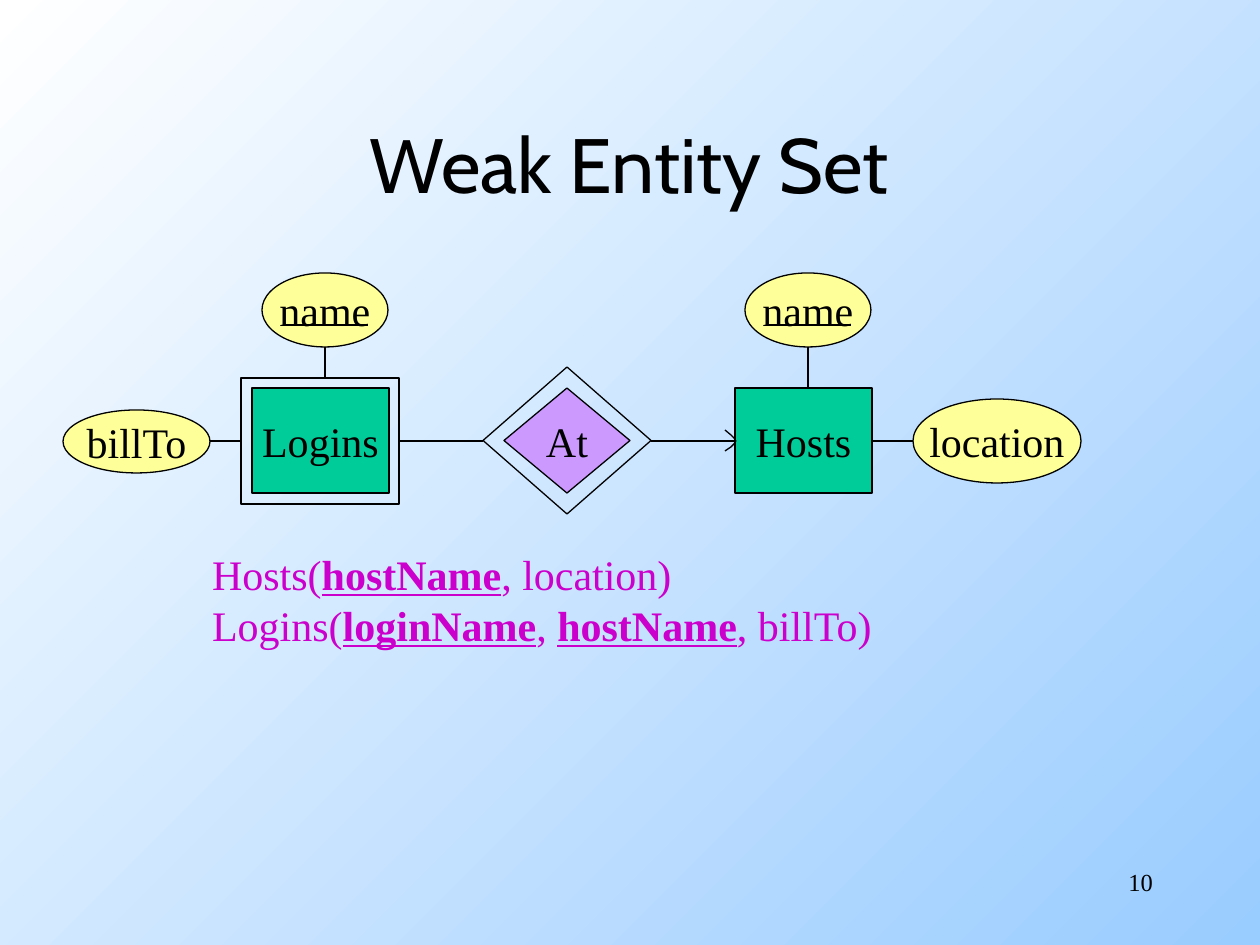
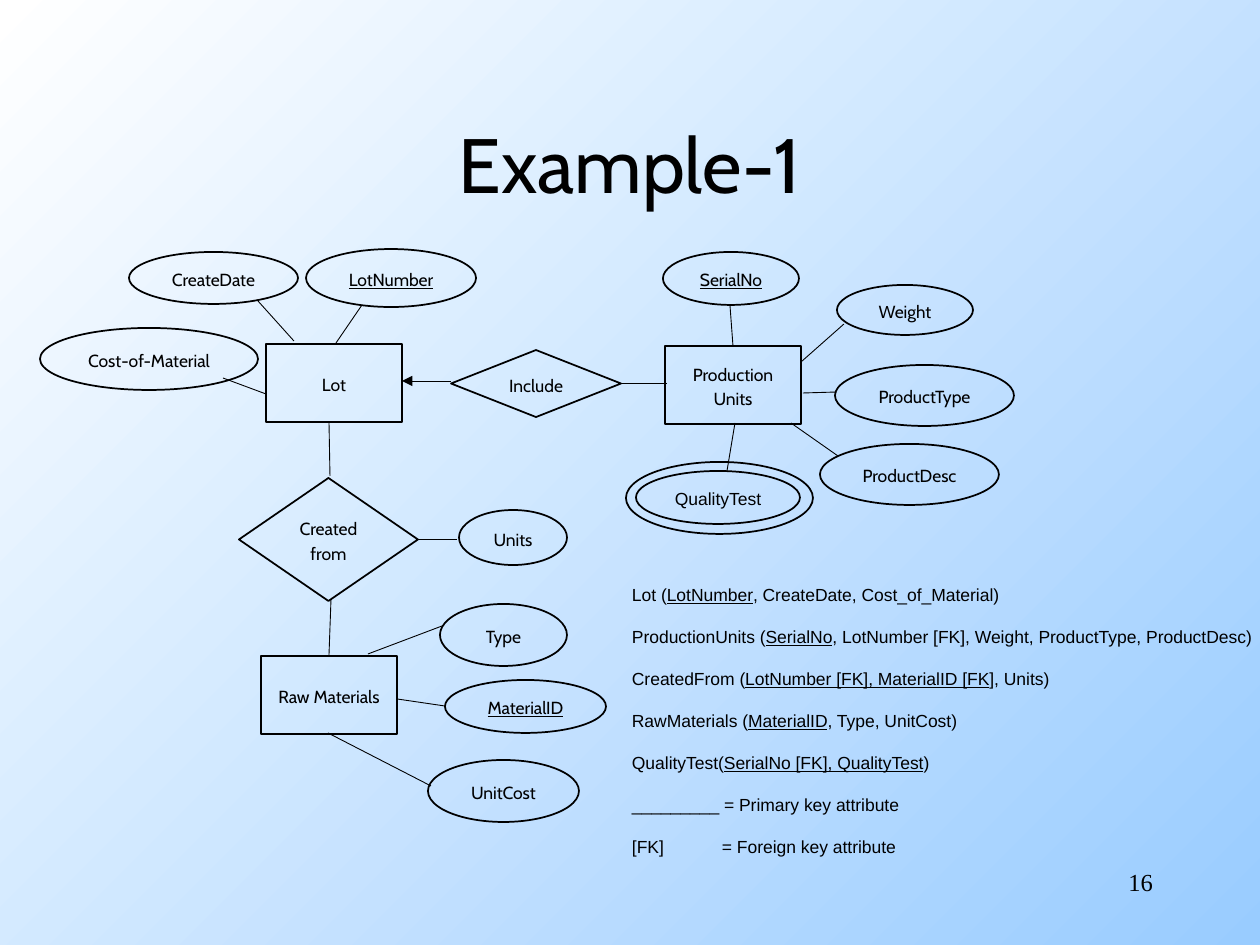
from lxml import etree
from pptx import Presentation
from pptx import util as u
from pptx.dml.color import RGBColor
from pptx.enum import shapes, text
from pptx.oxml import ns

# Shared look
PX = u.Inches(1) / 126
BLACK = RGBColor(0x00, 0x00, 0x00)
WHITE = RGBColor(0xFF, 0xFF, 0xFF)
SKY = RGBColor(0x99, 0xCC, 0xFF)
GREEN = RGBColor(0x00, 0xCC, 0x99)
PURPLE = RGBColor(0xCC, 0x99, 0xFF)
YELLOW = RGBColor(0xFF, 0xFF, 0x99)
MAGENTA = RGBColor(0xCC, 0x00, 0xCC)
SERIF, SANS, ROUND = "Times New Roman", "Arial", "Cabin"
RECTANGLE = shapes.MSO_SHAPE.RECTANGLE
DIAMOND = shapes.MSO_SHAPE.DIAMOND
DECISION = shapes.MSO_SHAPE.FLOWCHART_DECISION
OVAL = shapes.MSO_SHAPE.OVAL
LEFT, CENTER, RIGHT = text.PP_ALIGN.LEFT, text.PP_ALIGN.CENTER, text.PP_ALIGN.RIGHT

# Text between bars is a key attribute. Boxes are left, top, width, height.
WEAK_TITLE = ("Weak Entity Set", (94, 84, 1071, 158), 10)
WEAK_SHAPES = [
    (RECTANGLE, GREEN, "Logins", (252, 388, 137, 105)),
    (RECTANGLE, GREEN, "Hosts", (735, 388, 137, 105)),
    (DIAMOND, PURPLE, "At", (504, 388, 126, 105)),
    (OVAL, YELLOW, "name", (262, 273, 126, 74)),
    (OVAL, YELLOW, "name", (745, 273, 126, 74)),
    (OVAL, YELLOW, "billTo", (63, 410, 147, 63)),
    (OVAL, YELLOW, "location", (913, 399, 168, 84)),
    (RECTANGLE, None, "", (241, 378, 158, 126)),
    (DIAMOND, None, "", (483, 367, 168, 147)),
]
WEAK_LINES = [
    (283, 325, 368, 325), (766, 325, 851, 325),  # key underlines
    (325, 347, 325, 378), (808, 347, 808, 388),
    (483, 441, 399, 441), (651, 441, 735, 441),
    (210, 441, 241, 441), (913, 441, 872, 441),
]
ROUND_ARROWHEAD = [(725, 430), (731, 435), (734, 438), (736, 441),
                   (734, 444), (731, 447), (725, 451)]
WEAK_RELATIONS = [
    "Hosts(|hostName|, location)",
    "Logins(|loginName|, |hostName|, billTo)",
]

EXAMPLE_TITLE = ("Example-1", (0, 84, 1260, 158), 16)
ENTITY_SIZE = (136, 78)
EXAMPLE_SHAPES = [
    (RECTANGLE, "Lot", (266, 344, *ENTITY_SIZE)),
    (RECTANGLE, "Production Units", (665, 346, *ENTITY_SIZE)),
    (RECTANGLE, "Raw Materials", (261, 656, *ENTITY_SIZE)),
    (DECISION, "Include", (451, 350, 170, 67)),
    (DECISION, "Created from", (239, 478, 179, 123)),
    (OVAL, "Cost-of-Material", (40, 328, 218, 62)),
    (OVAL, "CreateDate", (129, 252, 169, 52)),
    (OVAL, "|LotNumber|", (306, 249, 170, 58)),
    (OVAL, "|SerialNo|", (663, 252, 136, 53)),
    (OVAL, "Weight", (837, 285, 136, 50)),
    (OVAL, "ProductType", (835, 365, 179, 61)),
    (OVAL, "ProductDesc", (820, 444, 179, 61)),
    (OVAL, "QualityTest", (636, 471, 164, 53)),
    (OVAL, "", (626, 462, 187, 72)),
    (OVAL, "Units", (459, 510, 108, 55)),
    (OVAL, "Type", (440, 604, 127, 62)),
    (OVAL, "|MaterialID|", (445, 680, 161, 53)),
    (OVAL, "UnitCost", (428, 760, 151, 62)),
]
EXAMPLE_LINES = [
    (336, 343, 362, 305), (294, 341, 258, 301), (266, 394, 223, 378),
    (620, 383, 667, 383), (733, 346, 730, 305), (801, 362, 844, 324),
    (803, 393, 837, 392), (791, 423, 838, 456), (727, 471, 735, 423),
    (330, 476, 329, 422), (331, 600, 329, 655), (418, 539, 457, 539),
    (368, 654, 442, 626), (397, 699, 445, 706), (431, 786, 328, 733),
]
INCLUDE_ARROW = (402, 381, 451, 381)
EXAMPLE_RELATIONS = [
    "Lot (|LotNumber|, CreateDate, Cost_of_Material)",
    "ProductionUnits (|SerialNo|, LotNumber [FK], Weight, ProductType, ProductDesc)",
    "CreatedFrom (|LotNumber [FK], MaterialID [FK|], Units)",
    "RawMaterials (|MaterialID|, Type, UnitCost)",
    "QualityTest(|SerialNo [FK], QualityTest|)",
    "_________ = Primary key attribute",
    "[FK]\t= Foreign key attribute",
]
LEGEND_TAB = 90


def px(*lengths):
    return [u.Emu(round(length * PX)) for length in lengths]


def write(frame, lines, *, size, font, color=BLACK, align=LEFT, spacing=None,
          after=0, bold_keys=False, wrap=True):
    frame.word_wrap = wrap
    for index, line in enumerate(lines):
        paragraph = frame.add_paragraph() if index else frame.paragraphs[0]
        paragraph.alignment = align
        paragraph.space_after = u.Pt(after)
        if spacing:
            paragraph.line_spacing = spacing
        for part, words in enumerate(line.split("|")):
            if not words:
                continue
            run = paragraph.add_run()
            run.text = words
            run.font.size, run.font.name = u.Pt(size), font
            run.font.color.rgb = color
            if part % 2:
                run.font.underline = True
                run.font.bold = bold_keys
        if "\t" in line:
            stops = etree.SubElement(paragraph._p.get_or_add_pPr(), ns.qn("a:tabLst"))
            etree.SubElement(stops, ns.qn("a:tab"), pos=str(px(LEGEND_TAB)[0]), algn="l")


def add_text(slide, box, lines, **style):
    frame = slide.shapes.add_textbox(*px(*box)).text_frame
    frame.margin_left = frame.margin_top = frame.margin_right = frame.margin_bottom = 0
    write(frame, lines, **style)


def outline(shape, fill, width):
    shape.shadow.inherit = False
    if fill is None:
        shape.fill.background()
    else:
        shape.fill.solid()
        shape.fill.fore_color.rgb = fill
    shape.line.color.rgb = BLACK
    shape.line.width = u.Pt(width)


def add_node(slide, kind, label, box, fill=None, width=1, **style):
    shape = slide.shapes.add_shape(kind, *px(*box))
    outline(shape, fill, width)
    if label:
        shape.text_frame.vertical_anchor = text.MSO_ANCHOR.MIDDLE
        write(shape.text_frame, [label], align=CENTER, **style)


def add_line(slide, ends, width, arrow=False):
    connector = slide.shapes.add_connector(shapes.MSO_CONNECTOR.STRAIGHT, *px(*ends))
    connector.line.color.rgb = BLACK
    connector.line.width = u.Pt(width)
    if arrow:
        etree.SubElement(connector.line._get_or_add_ln(), ns.qn("a:headEnd"), type="triangle")
    etree.SubElement(connector._element.spPr, ns.qn("a:effectLst"))


def add_slide(presentation, title, box, number):
    slide = presentation.slides.add_slide(presentation.slide_layouts[5])
    heading = slide.shapes.title
    heading.left, heading.top, heading.width, heading.height = px(*box)
    heading.text_frame.vertical_anchor = text.MSO_ANCHOR.MIDDLE
    write(heading.text_frame, [title], size=44, font=ROUND, align=CENTER)
    add_text(slide, (916, 867, 237, 50), [str(number)], size=14, font=SERIF,
             align=RIGHT, spacing=u.Pt(17))
    return slide


def paint_background(presentation):
    fill = presentation.slide_master.background.fill
    fill.gradient()
    fill.gradient_angle = 315
    for stop, color in zip(fill.gradient_stops, (WHITE, SKY)):
        stop.color.rgb = color


def build_weak_entity(presentation):
    slide = add_slide(presentation, *WEAK_TITLE)
    for kind, fill, label, box in WEAK_SHAPES:
        add_node(slide, kind, label, box, fill, 0.75, size=24, font=SERIF,
                 spacing=u.Pt(29), wrap=False)
    for ends in WEAK_LINES:
        add_line(slide, ends, 0.75)
    builder = slide.shapes.build_freeform(*ROUND_ARROWHEAD[0], scale=PX)
    builder.add_line_segments(ROUND_ARROWHEAD[1:], close=False)
    outline(builder.convert_to_shape(), None, 0.75)
    add_text(slide, (212, 548, 760, 110), WEAK_RELATIONS, size=24, font=SERIF,
             color=MAGENTA, spacing=u.Pt(29), bold_keys=True)


def build_example(presentation):
    slide = add_slide(presentation, *EXAMPLE_TITLE)
    for ends in EXAMPLE_LINES:
        add_line(slide, ends, 0.5)
    add_line(slide, INCLUDE_ARROW, 0.5, arrow=True)
    for kind, label, box in EXAMPLE_SHAPES:
        font = SANS if label == "QualityTest" else ROUND
        add_node(slide, kind, label, box, size=10, font=font, spacing=1.15, after=10)
    add_text(slide, (632, 563, 628, 294), EXAMPLE_RELATIONS, size=10, font=SANS,
             spacing=u.Pt(24))


def main():
    presentation = Presentation()
    presentation.slide_width, presentation.slide_height = px(1260, 945)
    paint_background(presentation)
    build_weak_entity(presentation)
    build_example(presentation)
    presentation.save("out.pptx")


if __name__ == "__main__":
    main()
